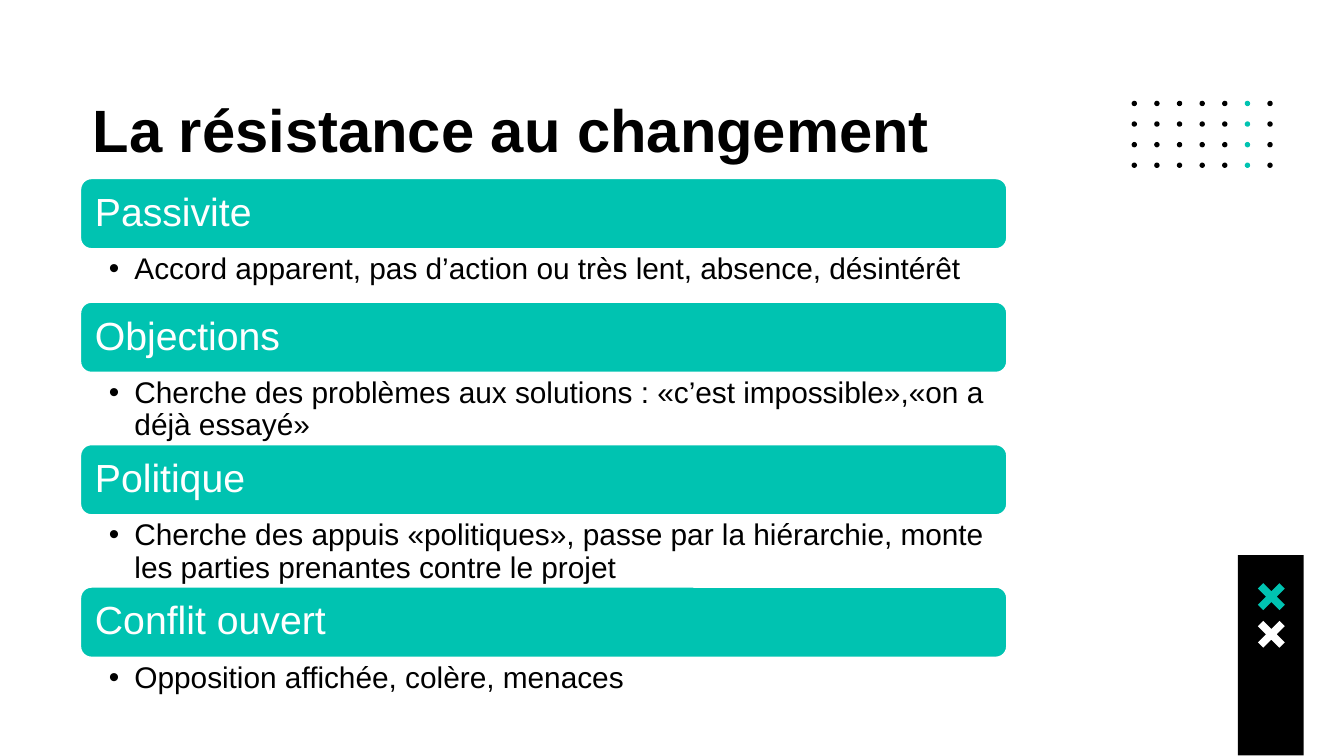
"""Build the slide on resistance to change."""
from lxml.etree import SubElement
from pptx import Presentation
from pptx.dml.color import RGBColor
from pptx.enum.shapes import MSO_SHAPE
from pptx.enum.text import MSO_ANCHOR, MSO_AUTO_SIZE, PP_ALIGN
from pptx.oxml.ns import qn
from pptx.util import Inches, Pt

ITEMS = [
    ("Passivite", 1.32, 0.38,
     "Accord apparent, pas d’action ou très lent, absence, désintérêt"),
    ("Objections", 2.24, 0.52,
     "Cherche des problèmes aux solutions : «c’est impossible»,«on a déjà essayé»"),
    ("Politique", 3.3, 0.52,
     "Cherche des appuis «politiques», passe par la hiérarchie, monte les parties "
     "prenantes contre le projet"),
    ("Conflit ouvert", 4.36, 0.38, "Opposition affichée, colère, menaces"),
]
CROSS = [(-0.06, -0.1), (-0.1, -0.06), (-0.04, 0), (-0.1, 0.06),
         (-0.06, 0.1), (0, 0.04), (0.06, 0.1), (0.1, 0.06),
         (0.04, 0), (0.1, -0.06), (0.06, -0.1), (0, -0.04)]


def color(code):
    return RGBColor.from_string(code)


def place(shape, left, top, width, height):
    shape.left, shape.top = Inches(left), Inches(top)
    shape.width, shape.height = Inches(width), Inches(height)


def bullet(para, ink):
    props = para._p.get_or_add_pPr()
    props.set("marL", str(Inches(0.19)))
    props.set("indent", str(-Inches(0.19)))
    tint = SubElement(props, qn("a:buClr"))
    SubElement(tint, qn("a:srgbClr")).set("val", ink)
    SubElement(props, qn("a:buFont")).set("typeface", "Arial")
    SubElement(props, qn("a:buChar")).set("char", "•")


def write(shape, text, *, size, ink, font="Arial", bold=False, inset=(0.1,) * 4,
          anchor=MSO_ANCHOR.TOP, space=1.0, after=0, dot=False):
    frame = shape.text_frame
    frame.word_wrap = True
    frame.auto_size = MSO_AUTO_SIZE.NONE
    frame.vertical_anchor = anchor
    (frame.margin_left, frame.margin_top,
     frame.margin_right, frame.margin_bottom) = map(Inches, inset)
    para = frame.paragraphs[0]
    para.alignment = PP_ALIGN.LEFT
    para.line_spacing = space
    para.space_before, para.space_after = Pt(0), Pt(after)
    if dot:
        para.level = 1
        bullet(para, ink)
    run = para.add_run()
    run.text = text
    run.font.name, run.font.size, run.font.bold = font, Pt(size), bold
    run.font.color.rgb = color(ink)


class Deck:
    teal, black, white = "00C3B1", "000000", "FFFFFF"

    def __init__(self, pres):
        self.slide = pres.slides.add_slide(pres.slide_layouts.get_by_name("Comparison"))
        self.shapes = self.slide.shapes

    def paint(self, shape, fill, line=None):
        shape.shadow.inherit = False
        shape.fill.solid()
        shape.fill.fore_color.rgb = color(fill)
        if line:
            shape.line.color.rgb = color(line)
            shape.line.width = Pt(2)
        else:
            shape.line.fill.background()

    def block(self, kind, box, fill, line=None):
        shape = self.shapes.add_shape(kind, *map(Inches, box))
        self.paint(shape, fill, line)
        return shape

    def dots(self):
        for row in range(4):
            for col in range(7):
                box = (8.42 + 1.01 * col / 6, 0.75 + 0.46 * row / 3, 0.04, 0.04)
                self.block(MSO_SHAPE.OVAL, box, self.teal if col == 5 else self.black)

    def cross(self, left, top, fill):
        points = [(Inches(left + x), Inches(top + y)) for x, y in CROSS]
        pen = self.shapes.build_freeform(*points[0])
        pen.add_line_segments(points[1:], close=True)
        self.paint(pen.convert_to_shape(), fill)

    def title(self, text):
        head = self.shapes.title
        place(head, 0.59, 0.59, 8.86, 0.79)
        write(head, text, size=32, ink=self.black, bold=True)

    def bar(self, text, top):
        box = (0.59, top, 6.91, 0.54)
        shape = self.block(MSO_SHAPE.ROUNDED_RECTANGLE, box, self.teal, self.white)
        write(shape, text, size=21, ink=self.white, inset=(0.09,) * 4,
              anchor=MSO_ANCHOR.MIDDLE, space=0.9)

    def note(self, holder, text, top, height):
        place(holder, 0.59, top, 6.91, height)
        write(holder, text, size=16, ink=self.black, inset=(0.22, 0.03, 0.16, 0.03),
              space=0.9, after=3, dot=True)


def main():
    pres = Presentation()
    pres.slide_width, pres.slide_height = Inches(10), Inches(10 * 9 / 16)
    deck = Deck(pres)
    deck.dots()
    deck.block(MSO_SHAPE.RECTANGLE, (9.21, 4.13, 0.49, 1.49), deck.black)
    deck.cross(9.46, 4.44, deck.teal)
    deck.cross(9.46, 4.72, deck.white)
    deck.title("La résistance au changement")
    for num, (name, top, height, text) in enumerate(ITEMS, 1):
        deck.bar(name, top)
        deck.note(deck.slide.placeholders[num], text, top + 0.54, height)
    pres.save("out.pptx")


if __name__ == "__main__":
    main()
